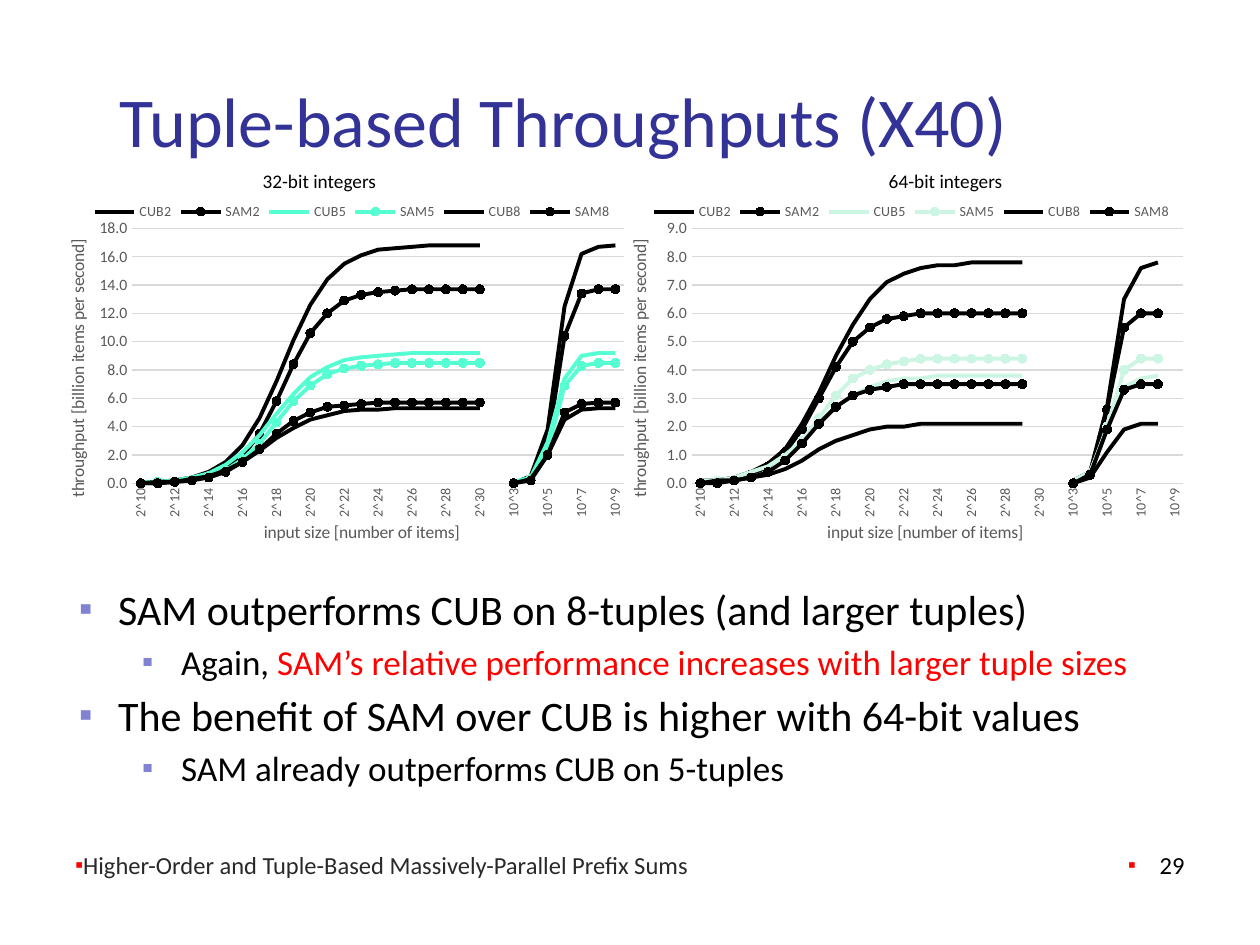
from dataclasses import dataclass
from math import log2
from typing import Optional

from lxml.etree import SubElement
from pptx import Presentation
from pptx.chart.data import CategoryChartData
from pptx.dml.color import RGBColor
from pptx.enum.chart import XL_CHART_TYPE, XL_LEGEND_POSITION, XL_MARKER_STYLE, XL_TICK_MARK
from pptx.enum.text import MSO_ANCHOR, MSO_AUTO_SIZE, PP_ALIGN
from pptx.oxml import parse_xml
from pptx.oxml.ns import nsdecls, qn
from pptx.util import Inches, Pt

FONT = "Calibri"
BLACK = RGBColor(0x00, 0x00, 0x00)
INDIGO = RGBColor(0x33, 0x33, 0x97)
LAVENDER = RGBColor(0x82, 0x82, 0xD4)
RED = RGBColor(0xFF, 0x00, 0x00)
CHARCOAL = RGBColor(0x29, 0x29, 0x29)
GRAY = RGBColor(0x59, 0x59, 0x59)
GRID = RGBColor(0xD9, 0xD9, 0xD9)
AQUA = RGBColor(0x56, 0xFF, 0xD2)
MINT = RGBColor(0xCC, 0xF5, 0xE3)

WIDTH, HEIGHT = Inches(10), Inches(7.5)
COLUMN, ROW = WIDTH / 100, HEIGHT / 75

BINARY_POWERS, DECIMAL_POWERS = range(10, 31), range(3, 10)
SIZES = [f"2^{n}" for n in BINARY_POWERS] + [""] + [f"10^{n}" for n in DECIMAL_POWERS]
BITS = [*BINARY_POWERS, None, *(n * log2(10) for n in DECIMAL_POWERS)]


@dataclass
class Box:
    left: float
    top: float
    width: float
    height: float

    def emu(self) -> tuple:
        return (round(self.left * COLUMN), round(self.top * ROW),
                round(self.width * COLUMN), round(self.height * ROW))


@dataclass
class Saturation:
    name: str
    peak: float
    half_bits: float
    steepness: float

    def rates(self, largest_bits: float) -> list:
        return [None if bits is None or bits > largest_bits else
                round(self.peak / (1 + 2 ** (self.steepness * (self.half_bits - bits))), 1)
                for bits in BITS]


@dataclass
class Throughput:
    heading: str
    heading_left: float
    chart_left: float
    top_value: int
    step: int
    largest_bits: float
    accent: RGBColor
    curves: list


@dataclass
class Bullet:
    text: str
    level: int
    highlight: str = ""


THROUGHPUTS = [
    Throughput("32-bit integers", 2, 5, 18, 2, 30, AQUA, [
        Saturation("CUB2", 16.8, 18.4, 1),
        Saturation("SAM2", 13.7, 18.4, 1.1),
        Saturation("CUB5", 9.2, 17.8, 0.95),
        Saturation("SAM5", 8.5, 17.95, 1.05),
        Saturation("CUB8", 5.3, 17.4, 0.95),
        Saturation("SAM8", 5.7, 17.4, 1.1)]),
    Throughput("64-bit integers", 51.7, 49.4, 9, 1, 29, MINT, [
        Saturation("CUB2", 7.8, 17.55, 0.95),
        Saturation("SAM2", 6.05, 17, 1.1),
        Saturation("CUB5", 3.8, 16.65, 0.9),
        Saturation("SAM5", 4.4, 16.85, 1.1),
        Saturation("CUB8", 2.1, 16.6, 0.95),
        Saturation("SAM8", 3.5, 16.45, 1.15)]),
]

FINDINGS = [
    (Box(0.3, 45.8, 96.4, 9.1), [
        Bullet("SAM outperforms CUB on 8-tuples (and larger tuples)", 1),
        Bullet("Again, ", 2, "SAM’s relative performance increases with larger tuple sizes")]),
    (Box(0.3, 54.2, 97.2, 9.1), [
        Bullet("The benefit of SAM over CUB is higher with 64-bit values", 1),
        Bullet("SAM already outperforms CUB on 5-tuples", 2)]),
]


def style(font, size: float, color: RGBColor) -> None:
    font.name, font.size, font.bold = FONT, Pt(size), False
    font.color.rgb = color


def add_bullet(paragraph, color: RGBColor, indent: float, hang: float,
               space: Optional[int] = None) -> None:
    props = paragraph._p.get_or_add_pPr()
    props.set("marL", str(Inches(indent)))
    props.set("indent", str(-Inches(hang)))
    if space:
        before = SubElement(props, qn("a:spcBef"))
        SubElement(before, qn("a:spcPct"), val=str(space * 1000))
    tint = SubElement(props, qn("a:buClr"))
    SubElement(tint, qn("a:srgbClr"), val=str(color))
    SubElement(props, qn("a:buSzPct"), val="90000")
    SubElement(props, qn("a:buFont"), typeface=FONT)
    SubElement(props, qn("a:buChar"), char="▪")


def add_text(slide, box: Box, text: str, size: float, color: RGBColor,
             align=PP_ALIGN.LEFT, anchor=MSO_ANCHOR.TOP):
    frame = slide.shapes.add_textbox(*box.emu()).text_frame
    frame.word_wrap, frame.vertical_anchor = True, anchor
    frame.text = text
    line = frame.paragraphs[0]
    line.alignment = align
    style(line.runs[0].font, size, color)
    return line


def add_findings(slide, box: Box, bullets: list) -> None:
    frame = slide.shapes.add_textbox(*box.emu()).text_frame
    frame.word_wrap, frame.auto_size = True, MSO_AUTO_SIZE.SHAPE_TO_FIT_TEXT
    frame.text = "\n".join(bullet.text for bullet in bullets)
    for line, bullet in zip(frame.paragraphs, bullets):
        size = 28 - 4 * bullet.level
        line.level = bullet.level
        add_bullet(line, LAVENDER, 0.31 + 0.5 * bullet.level, 0.31, 20)
        style(line.runs[0].font, size, BLACK)
        if bullet.highlight:
            emphasis = line.add_run()
            emphasis.text = bullet.highlight
            style(emphasis.font, size, RED)


def style_axis(axis, title: str, size: float) -> None:
    axis.axis_title.text_frame.text = title
    style(axis.axis_title.text_frame.paragraphs[0].runs[0].font, 10, GRAY)
    style(axis.tick_labels.font, size, GRAY)
    axis.major_tick_mark = axis.minor_tick_mark = XL_TICK_MARK.NONE


def set_plot_area(chart) -> None:
    area = chart._chartSpace.chart.plotArea
    for layout in area.findall(qn("c:layout")):
        area.remove(layout)
    shares = "".join(f'<c:{key} val="{share}"/>' for key, share in
                     zip("xywh", (0.12, 0.11, 0.85, 0.71)))
    area.insert(0, parse_xml(
        f'<c:layout {nsdecls("c")}><c:manualLayout><c:layoutTarget val="inner"/>'
        f'<c:xMode val="edge"/><c:yMode val="edge"/>{shares}</c:manualLayout></c:layout>'))


def add_throughput(slide, panel: Throughput) -> None:
    heading = add_text(slide, Box(panel.heading_left, 13.1, 46.7, 2.8), panel.heading,
                       11, BLACK, PP_ALIGN.CENTER)
    heading.line_spacing = Pt(12)
    data = CategoryChartData(number_format="0.0")
    data.categories = SIZES
    for curve in panel.curves:
        data.add_series(curve.name, curve.rates(panel.largest_bits))
    chart_box = Box(panel.chart_left, 15, 45.9, 28.5)
    chart = slide.shapes.add_chart(XL_CHART_TYPE.LINE_MARKERS, *chart_box.emu(), data).chart
    style(chart.font, 10, BLACK)
    chart.has_title, chart.has_legend = False, True
    chart.legend.position = XL_LEGEND_POSITION.TOP
    chart.legend.include_in_layout = False
    style(chart.legend.font, 8, GRAY)
    set_plot_area(chart)

    sizes, rates = chart.category_axis, chart.value_axis
    style_axis(sizes, "input size [number of items]", 8)
    sizes.format.line.color.rgb, sizes.format.line.width = GRID, Pt(0.75)
    sizes._element.txPr.bodyPr.set("rot", "-5400000")
    skip = parse_xml(f'<c:tickLblSkip {nsdecls("c")} val="2"/>')
    sizes._element.find(qn("c:noMultiLvlLbl")).addprevious(skip)
    style_axis(rates, "throughput [billion items per second]", 9)
    rates.minimum_scale, rates.maximum_scale, rates.major_unit = 0, panel.top_value, panel.step
    rates.tick_labels.number_format, rates.tick_labels.number_format_is_linked = "0.0", False
    rates.format.line.fill.background()
    gridline = rates.major_gridlines.format.line
    gridline.color.rgb, gridline.width = GRID, Pt(0.75)

    for series in chart.plots[0].series:
        color = panel.accent if series.name.endswith("5") else BLACK
        series.smooth = False
        series.format.line.color.rgb, series.format.line.width = color, Pt(2.25)
        marker = series.marker
        if series.name.startswith("SAM"):
            marker.style, marker.size = XL_MARKER_STYLE.CIRCLE, 5
            marker.format.fill.solid()
            marker.format.fill.fore_color.rgb = color
            marker.format.line.color.rgb = color
        else:
            marker.style = XL_MARKER_STYLE.NONE


def add_title(slide, text: str) -> None:
    title = slide.shapes.title
    title.left, title.top, title.width, title.height = Box(5, 6, 90, 7).emu()
    frame = title.text_frame
    frame.text, frame.vertical_anchor, frame.margin_left = text, MSO_ANCHOR.MIDDLE, Inches(0.45)
    frame.paragraphs[0].alignment = PP_ALIGN.LEFT
    style(frame.paragraphs[0].runs[0].font, 40, INDIGO)


def main() -> None:
    deck = Presentation()
    deck.slide_width, deck.slide_height = WIDTH, HEIGHT
    slide = deck.slides.add_slide(deck.slide_layouts[5])
    add_title(slide, "Tuple-based Throughputs (X40)")
    for panel in THROUGHPUTS:
        add_throughput(slide, panel)
    for box, bullets in FINDINGS:
        add_findings(slide, box, bullets)
    footer = add_text(slide, Box(5, 65.3, 60, 5),
                      "Higher-Order and Tuple-Based Massively-Parallel Prefix Sums",
                      14, CHARCOAL, anchor=MSO_ANCHOR.BOTTOM)
    add_bullet(footer, RED, 0, 0)
    page = add_text(slide, Box(74.2, 65.3, 20.8, 5), "29", 14, BLACK,
                    PP_ALIGN.RIGHT, MSO_ANCHOR.BOTTOM)
    add_bullet(page, RED, 0.25, 0.25)
    deck.save("out.pptx")


if __name__ == "__main__":
    main()
